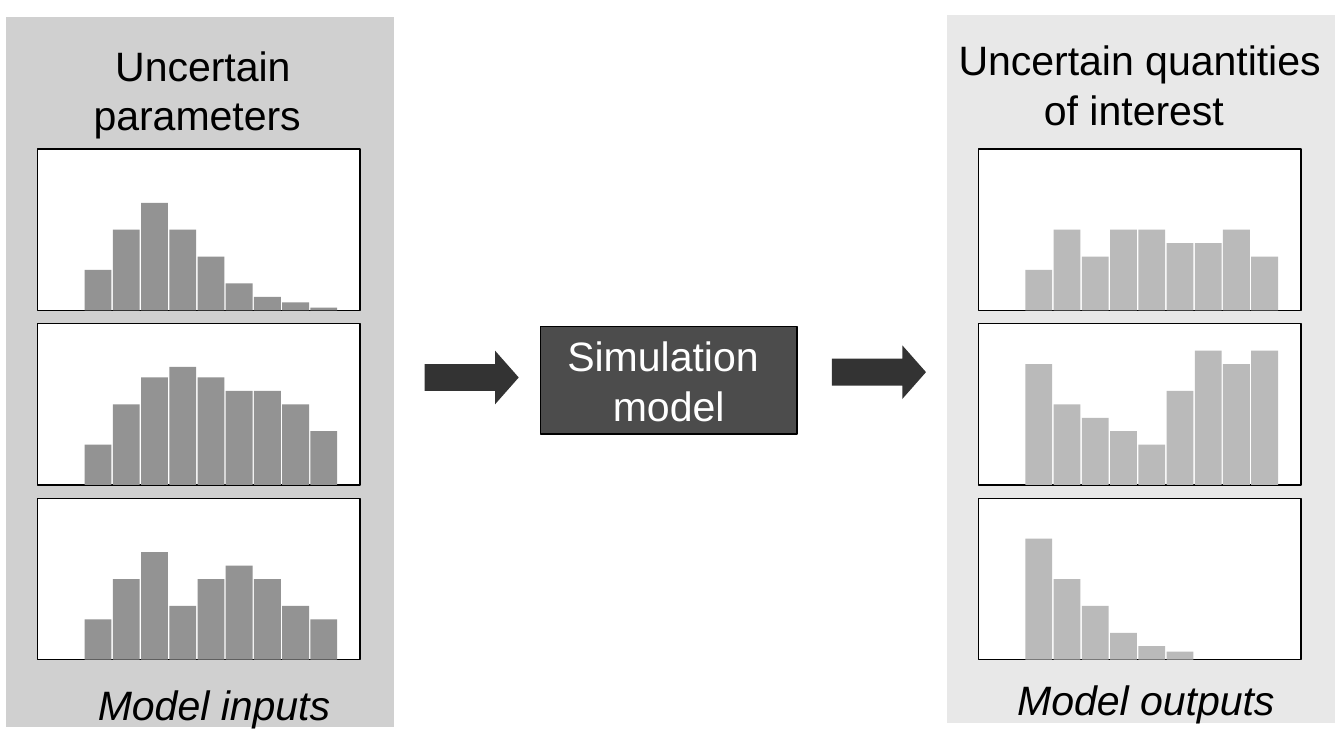
import pptx
import pptx.util
from pptx.dml.color import RGBColor
from pptx.enum.shapes import MSO_SHAPE
from pptx.enum.text import MSO_ANCHOR, PP_ALIGN
from pptx.util import Inches

BLACK = RGBColor(0x00, 0x00, 0x00)
WHITE = RGBColor(0xFF, 0xFF, 0xFF)
INPUT_PANEL = RGBColor(0xD0, 0xD0, 0xD0)
INPUT_BAR = RGBColor(0x93, 0x93, 0x93)
OUTPUT_PANEL = RGBColor(0xE8, 0xE8, 0xE8)
OUTPUT_BAR = RGBColor(0xBA, 0xBA, 0xBA)
ARROW = RGBColor(0x33, 0x33, 0x33)
MODEL = RGBColor(0x4C, 0x4C, 0x4C)

FRAME_TOP, FRAME_WIDTH, FRAME_HEIGHT, FRAME_STEP = 1.11, 2.4, 1.2, 1.3
BAR_INSET, BAR_WIDTH, BAR_STEP = 0.35, 0.2, 0.21

# Bar heights in inches, one list for each histogram from top to bottom
INPUT_HISTOGRAMS = [
    [0.3, 0.6, 0.8, 0.6, 0.4, 0.2, 0.1, 0.06, 0.02],
    [0.3, 0.6, 0.8, 0.88, 0.8, 0.7, 0.7, 0.6, 0.4],
    [0.3, 0.6, 0.8, 0.4, 0.6, 0.7, 0.6, 0.4, 0.3],
]
OUTPUT_HISTOGRAMS = [
    [0.3, 0.6, 0.4, 0.6, 0.6, 0.5, 0.5, 0.6, 0.4],
    [0.9, 0.6, 0.5, 0.4, 0.3, 0.7, 1, 0.9, 1],
    [0.9, 0.6, 0.4, 0.2, 0.1, 0.06],
]


def add_block(page, box, fill, line=None, kind=MSO_SHAPE.RECTANGLE):
    shape = page.shapes.add_shape(kind, *map(Inches, box))
    shape.shadow.inherit = False
    shape.fill.solid()
    shape.fill.fore_color.rgb = fill
    if line is None:
        shape.line.fill.background()
    else:
        shape.line.color.rgb = line
        shape.line.width = 0
    return shape


def write_lines(frame, lines, color, align, italic=False):
    for index, text in enumerate(lines):
        para = frame.add_paragraph() if index else frame.paragraphs[0]
        para.alignment = align
        span = para.add_run()
        span.text = text
        span.font.name = "Arial"
        span.font.size = pptx.util.Pt(22)
        span.font.italic = italic
        span.font.color.rgb = color


def add_label(page, box, text, align=PP_ALIGN.LEFT, italic=False):
    label = page.shapes.add_textbox(*map(Inches, box))
    label.text_frame.word_wrap = True
    write_lines(label.text_frame, [text], BLACK, align, italic)


def add_histogram(page, box, heights, color):
    left, top, width, height = box
    add_block(page, box, WHITE, BLACK)
    for index, bar in enumerate(heights):
        bar_left = left + BAR_INSET + index * BAR_STEP
        add_block(page, (bar_left, top + height - bar, BAR_WIDTH, bar), color)


def add_panel(page, box, fill, title, title_box, frame_left, histograms,
              bar_color, caption, caption_box):
    add_block(page, box, fill, WHITE)
    add_label(page, title_box, title, PP_ALIGN.CENTER)
    for index, heights in enumerate(histograms):
        top = FRAME_TOP + index * FRAME_STEP
        add_histogram(page, (frame_left, top, FRAME_WIDTH, FRAME_HEIGHT),
                      heights, bar_color)
    add_label(page, caption_box, caption, italic=True)


def add_arrow(page, box):
    arrow = add_block(page, box, ARROW, kind=MSO_SHAPE.RIGHT_ARROW)
    arrow.adjustments[0] = 0.5
    arrow.adjustments[1] = 0.44


def add_model(page, box):
    model = add_block(page, box, MODEL, BLACK)
    frame = model.text_frame
    frame.word_wrap = False
    frame.vertical_anchor = MSO_ANCHOR.MIDDLE
    write_lines(frame, ["Simulation ", "model"], WHITE, PP_ALIGN.CENTER)


def main():
    deck = pptx.Presentation()
    deck.slide_width = Inches(10)
    deck.slide_height = Inches(5.5)
    page = deck.slides.add_slide(deck.slide_layouts[6])

    add_panel(page, (0.04, 0.12, 2.9, 5.3), INPUT_PANEL,
              "Uncertain parameters ", (0.06, 0.25, 2.9, 0.94),
              0.28, INPUT_HISTOGRAMS, INPUT_BAR,
              "Model inputs", (0.63, 5.01, 2.2, 0.78))
    add_panel(page, (7.04, 0.11, 2.9, 5.28), OUTPUT_PANEL,
              "Uncertain quantities of interest ", (7.03, 0.21, 2.9, 1.47),
              7.28, OUTPUT_HISTOGRAMS, OUTPUT_BAR,
              "Model outputs", (7.47, 4.97, 2.4, 0.78))
    add_arrow(page, (3.16, 2.61, 0.7, 0.4))
    add_arrow(page, (6.19, 2.57, 0.7, 0.4))
    add_model(page, (4.02, 2.43, 1.91, 0.8))

    deck.save("out.pptx")


if __name__ == "__main__":
    main()
